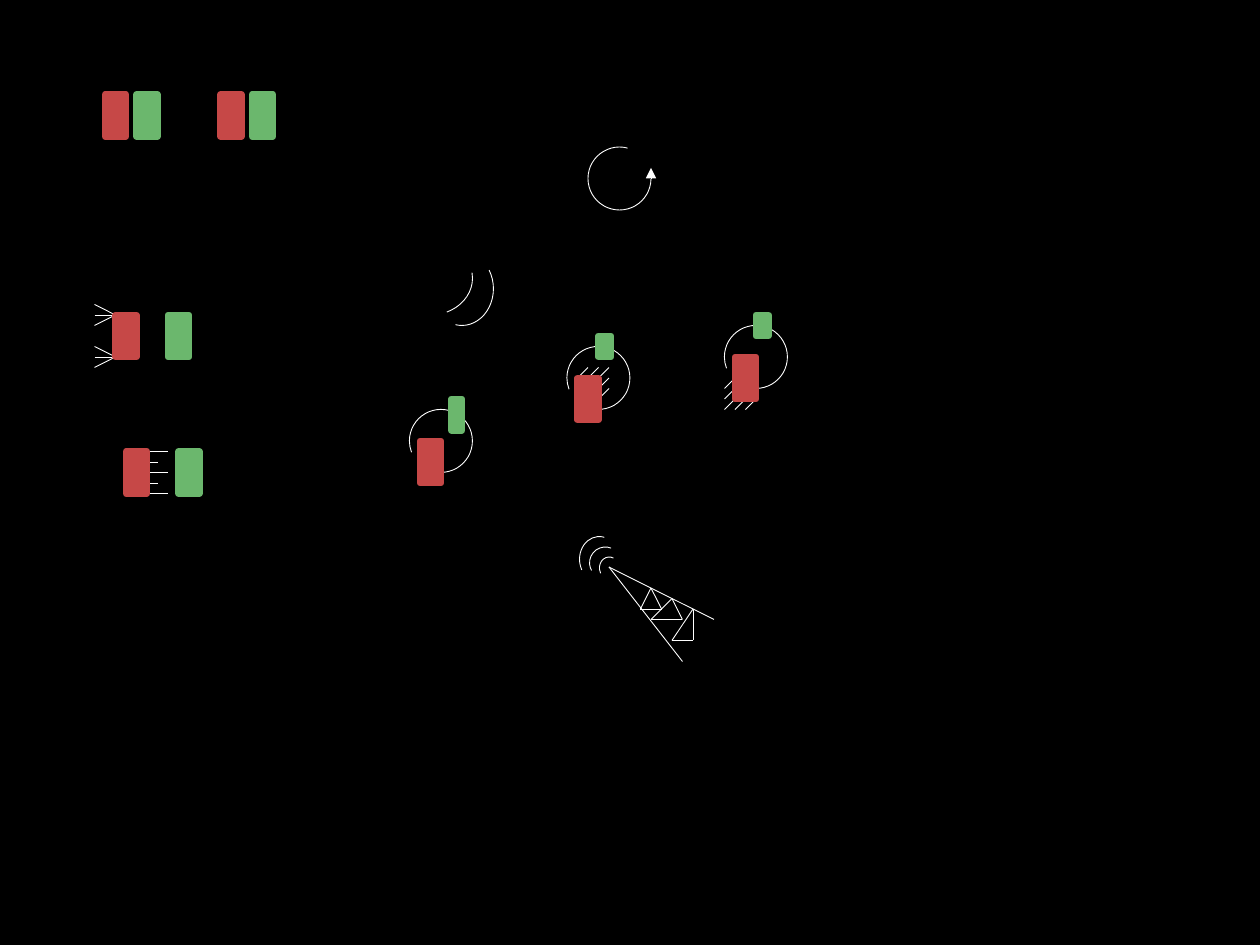
from collections import namedtuple
from itertools import combinations

from pptx import Presentation
from pptx.dml.color import RGBColor
from pptx.enum import shapes
from pptx.oxml import ns
from pptx.util import Inches, Pt
from lxml import etree

BLACK = RGBColor(0x00, 0x00, 0x00)
WHITE = RGBColor(0xFF, 0xFF, 0xFF)
RED = RGBColor(0xC6, 0x48, 0x47)
GREEN = RGBColor(0x6B, 0xB7, 0x6D)


def grid(*steps):
    return [Inches(step / 12) for step in steps]


Figure = namedtuple("Figure", "grouped arcs lines blocks")

rungs = [(14, 43 + i, 16 - i % 2, 43 + i) for i in range(5)]
rays = [(9, y + spread, 11, y) for y in (30, 34) for spread in (0, -1, 1)]
upper_hatch = [(x, y, x + 1, y - 1) for x, y in [(55, 36), (56, 36), (57, 36), (57, 37), (57, 38)]]
lower_hatch = [(x, y, x + 1, y - 1) for x, y in [(69, 38), (69, 39), (70, 39), (69, 37), (71, 39)]]
triangles = [
    [(66, 58), (64, 61), (66, 61)],
    [(64, 57), (62, 59), (65, 59)],
    [(62, 56), (61, 58), (63, 58)],
]
mast = [(58, 54, 65, 63), (58, 54, 68, 59)]
mast += [start + end for corners in triangles for start, end in combinations(corners, 2)]

TURN = (158.87, 104.9, 0)
SIGNAL = (156.27, 297.15, -5.6)

# Arc: x, y, width, height, start, end, rotation. Block: colour, x, y, width, height.
figures = [
    Figure(False, [(37, 23, 8, 7, 352.33, 64.32, 0), (41, 24, 6, 7, 325.73, 100.13, 0)], [], []),
    Figure(False, [], [], [(colour, x + shift, 9, 2, 4)
                           for x in (10, 21) for colour, shift in ((RED, 0), (GREEN, 3))]),
    Figure(False, [], rungs, [(GREEN, 17, 43, 2, 4), (RED, 12, 43, 2, 4)]),
    Figure(True, [], rays, [(GREEN, 16, 30, 2, 4), (RED, 11, 30, 2, 4)]),
    Figure(True, [(39, 39, 6, 6, *TURN)], [], [(RED, 40, 42, 2, 4), (GREEN, 43, 38, 1, 3)]),
    Figure(True, [(54, 33, 6, 6, *TURN)], upper_hatch, [(GREEN, 57, 32, 1.2, 2), (RED, 55, 36, 2, 4)]),
    Figure(True, [(69, 31, 6, 6, *TURN)], lower_hatch, [(GREEN, 72, 30, 1.2, 2), (RED, 70, 34, 2, 4)]),
    Figure(True, [(57.1, 53.05, 1.9, 2.15, *SIGNAL), (56.15, 52.1, 3, 3, *SIGNAL),
                  (55.2, 51.1, 3.85, 4.45, 156.27, 286.88, -5.6)], mast, []),
    Figure(True, [(56, 14, 6, 6, 180.86, 104.9, 180)], [(62, 17, 62, 16)], []),
]

presentation = Presentation()
presentation.slide_width = Inches(10)
presentation.slide_height = Inches(7.5)
slide = presentation.slides.add_slide(presentation.slide_layouts[6])
slide.background.fill.solid()
slide.background.fill.fore_color.rgb = BLACK

for figure in figures:
    canvas = slide.shapes.add_group_shape().shapes if figure.grouped else slide.shapes

    for x, y, width, height, start, end, rotation in figure.arcs:
        arc = canvas.add_shape(shapes.MSO_SHAPE.ARC, *grid(x, y, width, height))
        arc.adjustments[0] = start * 0.6
        arc.adjustments[1] = end * 0.6
        arc.rotation = rotation
        arc.shadow.inherit = False
        arc.fill.background()
        arc.line.color.rgb = WHITE
        arc.line.width = Pt(0.5)

    connectors = []
    for ends in figure.lines:
        connector = canvas.add_connector(shapes.MSO_CONNECTOR.STRAIGHT, *grid(*ends))
        connector.line.color.rgb = WHITE
        connector.line.width = Pt(0.5)
        etree.SubElement(connector._element.spPr, ns.qn("a:effectLst"))
        connectors.append((connector, ends))

    for colour, x, y, width, height in figure.blocks:
        block = canvas.add_shape(shapes.MSO_SHAPE.RECTANGLE, *grid(x, y, width, height))
        block.shadow.inherit = False
        block.fill.solid()
        block.fill.fore_color.rgb = colour
        block.line.color.rgb = colour
        block.line.width = Pt(3.78)

        middles = [(x + width / 2, y), (x, y + height / 2),
                   (x + width / 2, y + height), (x + width, y + height / 2)]
        for connector, ends in connectors:
            if ends[:2] in middles:
                connector.begin_connect(block, middles.index(ends[:2]))
            if ends[2:] in middles:
                connector.end_connect(block, middles.index(ends[2:]))

turn_arrow = connectors[0][0]
etree.SubElement(turn_arrow.line._get_or_add_ln(), ns.qn("a:tailEnd"), type="triangle")

presentation.save("out.pptx")
